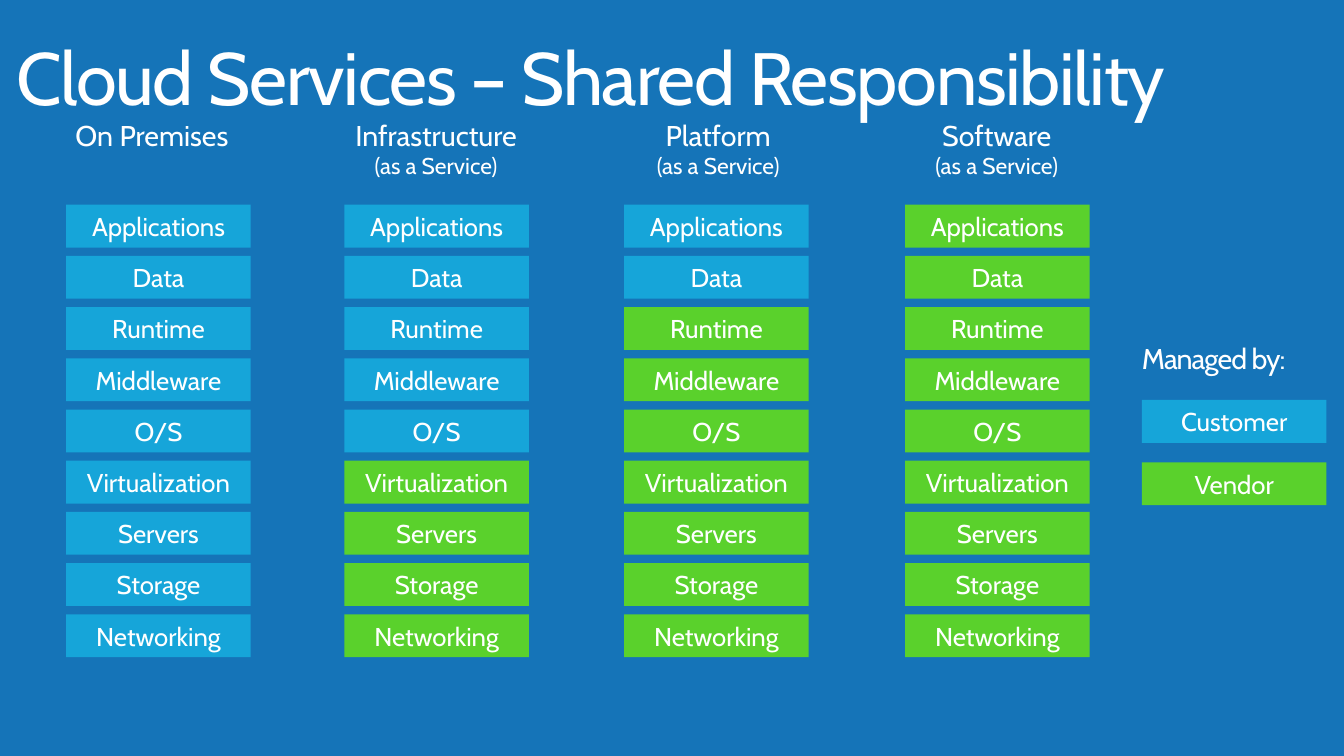
from dataclasses import dataclass

from lxml import etree
from pptx import Presentation
from pptx import util as u
from pptx.dml.color import RGBColor
from pptx.enum import shapes, text
from pptx.shapes.base import BaseShape
from pptx.text.text import TextFrame

FONT = "Cabin"
WHITE, BACK = "FFFFFF", "1574B8"
BLUE, GREEN = "16A5D9", "5AD12C"
LAYERS = ["Applications", "Data", "Runtime", "Middleware", "O/S",
          "Virtualization", "Servers", "Storage", "Networking"]
TOP, PITCH = 5.16, 1.29
BAR_W, BAR_H = 4.65, 1.08
KEY_X = 28.78


@dataclass
class Line:
    words: str
    size: float
    track: float = 0


@dataclass
class Box:
    left: float
    top: float
    width: float
    height: float


@dataclass
class Model:
    name: str
    left: float      # left edge of the bars
    head_x: float    # left edge of the heading
    head_w: float
    own: int         # layers run by the customer
    note: str = "(as a Service)"


MODELS = [
    Model("On Premises", 1.67, 1.19, 5.28, 9, ""),
    Model("Infrastructure", 8.68, 7.32, 7.34, 5),
    Model("Platform", 15.73, 15.27, 5.66, 2),
    Model("Software", 22.81, 22.25, 5.74, 0),
]


def color(code: str) -> RGBColor:
    return RGBColor.from_string(code)


def place(box: Box) -> list[u.Length]:
    return [u.Cm(n) for n in (box.left, box.top, box.width, box.height)]


def write(frame: TextFrame, lines: list[Line], align: text.PP_ALIGN,
          side: float = 0, edge: float = 0) -> None:
    frame.word_wrap = True
    frame.margin_left = frame.margin_right = u.Cm(side)
    frame.margin_top = frame.margin_bottom = u.Cm(edge)
    for i, line in enumerate(lines):
        para = frame.add_paragraph() if i else frame.paragraphs[0]
        para.alignment = align
        run = para.add_run()
        run.text = line.words
        run.font.name = FONT
        run.font.size = u.Pt(line.size)
        run.font.color.rgb = color(WHITE)
        if line.track:
            run.font._element.set("spc", str(round(line.track * 100)))


def label(host, box: Box, lines: list[Line], align: text.PP_ALIGN,
          side: float = 0, edge: float = 0) -> TextFrame:
    frame = host.add_textbox(*place(box)).text_frame
    frame.vertical_anchor = text.MSO_ANCHOR.TOP
    write(frame, lines, align, side, edge)
    return frame


def bar(host, left: float, top: float, words: str, fill: str) -> BaseShape:
    box = Box(left, top, BAR_W, BAR_H)
    shape = host.add_shape(shapes.MSO_SHAPE.RECTANGLE, *place(box))
    shape.shadow.inherit = False
    shape.fill.solid()
    shape.fill.fore_color.rgb = color(fill)
    shape.line.fill.background()
    shape.text_frame.vertical_anchor = text.MSO_ANCHOR.MIDDLE
    write(shape.text_frame, [Line(words, 18.4)], text.PP_ALIGN.CENTER, edge=0.13)
    return shape


def stack(slide, model: Model) -> None:
    host = slide.shapes.add_group_shape().shapes
    lines = [Line(model.name, 20.4)]
    if model.note:
        lines.append(Line(model.note, 16.3))
    label(host, Box(model.head_x, 2.97, model.head_w, 1.8), lines,
          text.PP_ALIGN.CENTER)
    for i, layer in enumerate(LAYERS):
        fill = BLUE if i < model.own else GREEN
        bar(host, model.left, TOP + i * PITCH, layer, fill)


def main() -> None:
    deck = Presentation()
    deck.slide_width, deck.slide_height = u.Cm(33.87), u.Cm(19.05)
    slide = deck.slides.add_slide(deck.slide_layouts[6])
    slide.background.fill.solid()
    slide.background.fill.fore_color.rgb = color(BACK)

    # Title
    title = label(slide.shapes, Box(0, 0.81, 32.05, 2.49),
                  [Line("Cloud Services – Shared Responsibility", 52.9, -1)],
                  text.PP_ALIGN.LEFT, 0.41, 0.25)
    title.paragraphs[0].line_spacing = 0.9

    # Service models
    for model in MODELS:
        stack(slide, model)

    # Key
    label(slide.shapes, Box(KEY_X, 8.59, 4.6, 0.89),
          [Line("Managed by:", 20.4, -0.7)], text.PP_ALIGN.LEFT)
    bar(slide.shapes, KEY_X, 10.08, "Customer", BLUE)
    bar(slide.shapes, KEY_X, 11.65, "Vendor", GREEN)

    deck.save("out.pptx")


if __name__ == "__main__":
    main()
